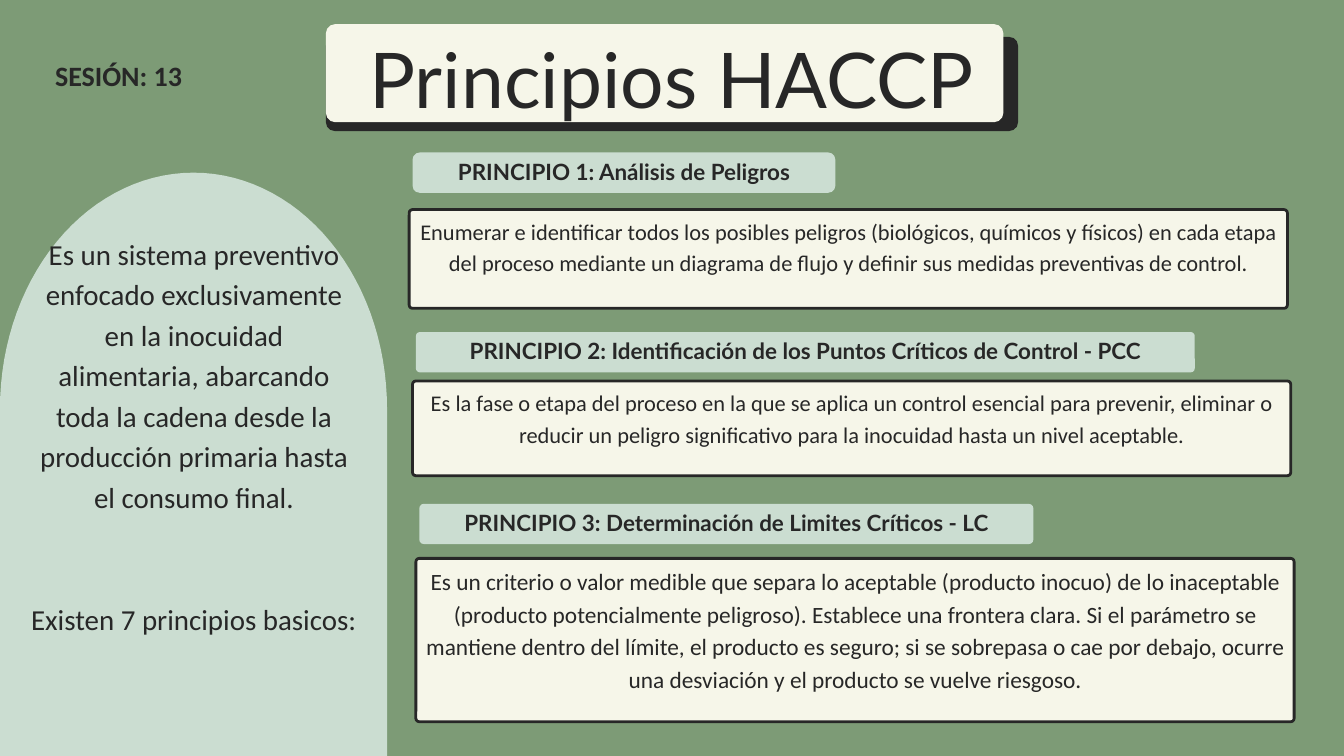
from math import cos, pi, sin

from pptx import Presentation
from pptx.dml.color import RGBColor
from pptx.enum.shapes import MSO_SHAPE as Shape
from pptx.enum.text import MSO_ANCHOR as Anchor, MSO_AUTO_SIZE as Fit, PP_ALIGN as Align
from pptx.util import Pt

GREEN = RGBColor(0x7D, 0x9B, 0x76)
MINT = RGBColor(0xCB, 0xDD, 0xD1)
CREAM = RGBColor(0xF6, 0xF6, 0xE9)
DARK = RGBColor(0x27, 0x27, 0x27)

WIDE, HIGH = 1440, 810
TITLE = "Principios HACCP"
SESSION = "SESIÓN: 13"
INTRO = ("Es un sistema preventivo enfocado exclusivamente en la inocuidad alimentaria, "
         "abarcando toda la cadena desde la producción primaria hasta el consumo final.")
COUNT = "Existen 7 principios basicos:"

# label: top, width, corner; card: top, height; body: height, size, line spacing
RULES = [
    dict(head="PRINCIPIO 1: Análisis de Peligros",
         body="Enumerar e identificar todos los posibles peligros (biológicos, químicos y "
              "físicos) en cada etapa del proceso mediante un diagrama de flujo y definir "
              "sus medidas preventivas de control.",
         label=(163.4, 453, 7.6), card=(224.6, 105.8), text=(97.2, 24, 33.6)),
    dict(head="PRINCIPIO 2: Identificación de los Puntos Críticos de Control - PCC",
         body="Es la fase o etapa del proceso en la que se aplica un control esencial para "
              "prevenir, eliminar o reducir un peligro significativo para la inocuidad "
              "hasta un nivel aceptable.",
         label=(355.8, 834.5, 4.2), card=(408.2, 101.5), text=(97.2, 24, 33.6)),
    dict(head="PRINCIPIO 3: Determinación de Limites Críticos - LC",
         body="Es un criterio o valor medible que separa lo aceptable (producto inocuo) de "
              "lo inaceptable (producto potencialmente peligroso). Establece una frontera "
              "clara. Si el parámetro se mantiene dentro del límite, el producto es seguro; "
              "si se sobrepasa o cae por debajo, ocurre una desviación y el producto se "
              "vuelve riesgoso.",
         label=(539.8, 658, 5), card=(598.3, 175), text=(205.2, 25, 35)),
]
LEFT, STEP = 442, 3.6
LABEL_H, CARD_W, BODY_W = 43.2, 941, 933.8

deck = Presentation()
deck.slide_width, deck.slide_height = Pt(WIDE), Pt(HIGH)
slide = deck.slides.add_slide(deck.slide_layouts[5])
slide.background.fill.solid()
slide.background.fill.fore_color.rgb = GREEN
shapes = slide.shapes


def paint(shape, color, edge=None):
    shape.shadow.inherit = False
    shape.fill.solid()
    shape.fill.fore_color.rgb = color
    if edge:
        shape.line.color.rgb = edge
        shape.line.width = Pt(3)
    else:
        shape.line.fill.background()


def panel(x, y, w, h, corner, color, edge=None):
    shape = shapes.add_shape(Shape.ROUNDED_RECTANGLE, Pt(x), Pt(y), Pt(w), Pt(h))
    shape.adjustments[0] = corner / min(w, h)
    paint(shape, color, edge)


def arch(w, top, spring, base, color):
    """Draw a half ellipse standing on a rectangle, from the left edge."""
    mid, steps = w / 2, 60
    turns = [pi * i / steps for i in range(steps + 1)]
    curve = [(Pt(mid - mid * cos(t)), Pt(spring - (spring - top) * sin(t))) for t in turns]
    path = shapes.build_freeform(Pt(0), Pt(base))
    path.add_line_segments(curve + [(Pt(w), Pt(base))], close=True)
    paint(path.convert_to_shape(), color)


def write(box, text, size, lead, font="Calibri", bold=False,
          align=Align.CENTER, anchor=Anchor.TOP, inset=0):
    frame = box.text_frame
    frame.word_wrap, frame.auto_size = True, Fit.NONE
    frame.vertical_anchor = anchor
    frame.margin_left = frame.margin_right = Pt(inset)
    frame.margin_top = frame.margin_bottom = Pt(inset)
    para = frame.paragraphs[0]
    para.alignment, para.line_spacing = align, Pt(lead)
    run = para.add_run()
    run.text = text
    run.font.name, run.font.size, run.font.bold = font, Pt(size), bold
    run.font.color.rgb = DARK


def note(x, y, w, h, *args, **style):
    write(shapes.add_textbox(Pt(x), Pt(y), Pt(w), Pt(h)), *args, **style)


panel(349.2, 39.6, 741.6, 100.8, 9.4, DARK)
panel(349.2, 25.9, 725.8, 105, 9.7, CREAM)
title = shapes.title
title.left, title.top, title.width, title.height = Pt(377.3), Pt(18), Pt(685.4), Pt(110.2)
write(title, TITLE, 82.3, 115.2, font="Lato")
title.element.getparent().append(title.element)  # in front of its panels

arch(414.7, 185, 437.8, HIGH, MINT)
note(33.8, 247, 347.8, 340.6, INTRO, 31, 43.4)
note(4.3, 638, 406, 83.5, COUNT, 31, 43.4)
note(59, 56.9, 154.8, 41, SESSION, 30, 42, bold=True, align=Align.LEFT)

for i, rule in enumerate(RULES):
    x = LEFT + i * STEP
    top, width, corner = rule["label"]
    card_y, card_h = rule["card"]
    body_h, size, lead = rule["text"]
    panel(x - STEP, card_y, CARD_W, card_h, 3.6, CREAM, DARK)
    panel(x, top, width, LABEL_H, corner, MINT)
    note(x, top - 7, width, LABEL_H + 6.5, rule["head"], 24, 33.6, font="Lato",
         bold=True, anchor=Anchor.MIDDLE, inset=4)
    note(x, card_y + 4.3, BODY_W, body_h, rule["body"], size, lead)

deck.save("out.pptx")
